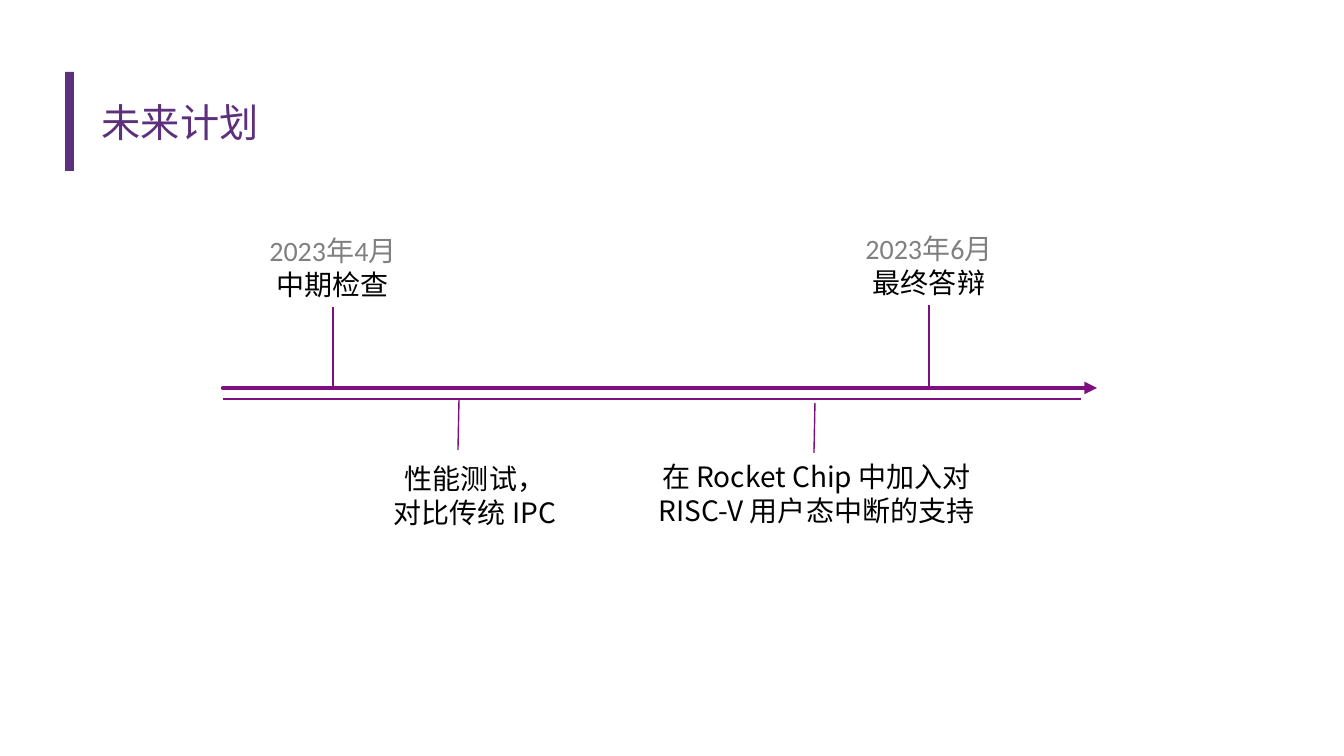
import pptx
import pptx.util
import pptx.dml.color
import pptx.enum.shapes
import pptx.enum.text
import pptx.oxml.ns
import lxml.etree

# Colours and fonts
RGB = pptx.dml.color.RGBColor
TITLE_PURPLE = RGB(0x5C, 0x30, 0x7D)
LINE_PURPLE = RGB(0x7F, 0x0F, 0x7E)
GREY = RGB(0x80, 0x80, 0x80)
BLACK = RGB(0, 0, 0)
LATIN = "Calibri"
CJK = "Noto Sans CJK SC"

# Content; lengths in px, 100.8 to the inch
TITLE = "未来计划"
AXIS = (223, 388, 1097, 388)
UNDERLINE = (223, 399, 1081, 399)
MILESTONES = [  # date, event, stem x, stem foot y
    ("2023年4月", "中期检查", 333, 388),
    ("2023年6月", "最终答辩", 929, 386),
]
STEM, LABEL_WIDTH, LABEL_HEIGHT = 81, 440, 78
TASKS = [  # text, left, top, width, tick x, tick top
    ("性能测试，对比传统 IPC", 383, 457, 184, 458, 400),
    ("在 Rocket Chip 中加入对 RISC-V 用户态中断的支持", 648, 455, 337, 814, 403),
]
TICK, TASK_HEIGHT = 50, 112


def px(length):
    return pptx.util.Emu(round(length * 914400 / 100.8))


def add_child(parent, tag, **attributes):
    return lxml.etree.SubElement(parent, pptx.oxml.ns.qn(tag), **attributes)


def add_line(page, x1, y1, x2, y2, points, arrow=False):
    line = page.shapes.add_connector(
        pptx.enum.shapes.MSO_CONNECTOR.STRAIGHT, px(x1), px(y1), px(x2), px(y2))
    line.line.color.rgb = LINE_PURPLE
    line.line.width = pptx.util.Pt(points)
    if arrow:
        outline = line.line._get_or_add_ln()
        outline.set("cap", "rnd")
        add_child(outline, "a:tailEnd", type="triangle")
    add_child(line._element.spPr, "a:effectLst")


def add_text(page, left, top, width, height, lines, size=20,
             align=pptx.enum.text.PP_ALIGN.CENTER,
             anchor=pptx.enum.text.MSO_ANCHOR.TOP):
    box = page.shapes.add_textbox(px(left), px(top), px(width), px(height))
    frame = box.text_frame
    frame.word_wrap = True
    frame.vertical_anchor = anchor
    for index, (text, font, colour) in enumerate(lines):
        para = frame.add_paragraph() if index else frame.paragraphs[0]
        para.alignment = align
        span = para.add_run()
        span.text = text
        span.font.size = pptx.util.Pt(size)
        span.font.name = font
        span.font.color.rgb = colour
        add_child(span.font._element, "a:ea", typeface=CJK)


def main():
    deck = pptx.Presentation()
    deck.slide_width, deck.slide_height = px(1344), px(756)
    page = deck.slides.add_slide(deck.slide_layouts[6])

    # Title and its bar
    bar = page.shapes.add_shape(
        pptx.enum.shapes.MSO_SHAPE.RECTANGLE, px(65), px(72), px(9), px(99))
    bar.shadow.inherit = False
    bar.fill.solid()
    bar.fill.fore_color.rgb = TITLE_PURPLE
    bar.line.fill.background()
    add_text(page, 92, 66, 1160, 112, [(TITLE, LATIN, TITLE_PURPLE)], 28,
             pptx.enum.text.PP_ALIGN.LEFT, pptx.enum.text.MSO_ANCHOR.MIDDLE)

    # Time axis
    add_line(page, *AXIS, 3, arrow=True)
    add_line(page, *UNDERLINE, 1.5)

    # Milestones above the axis, labels centred on their stems
    for date, event, x, foot in MILESTONES:
        top = foot - STEM
        add_line(page, x, foot, x, top, 1)
        add_text(page, x - LABEL_WIDTH / 2, top - LABEL_HEIGHT, LABEL_WIDTH,
                 LABEL_HEIGHT, [(date, LATIN, GREY), (event, CJK, BLACK)])

    # Tasks below the axis, with slightly slanted ticks
    for text, left, top, width, x, tick_top in TASKS:
        add_line(page, x, tick_top + TICK, x + 1, tick_top, 1)
        add_text(page, left, top, width, TASK_HEIGHT, [(text, CJK, BLACK)])

    deck.save("out.pptx")


if __name__ == "__main__":
    main()
